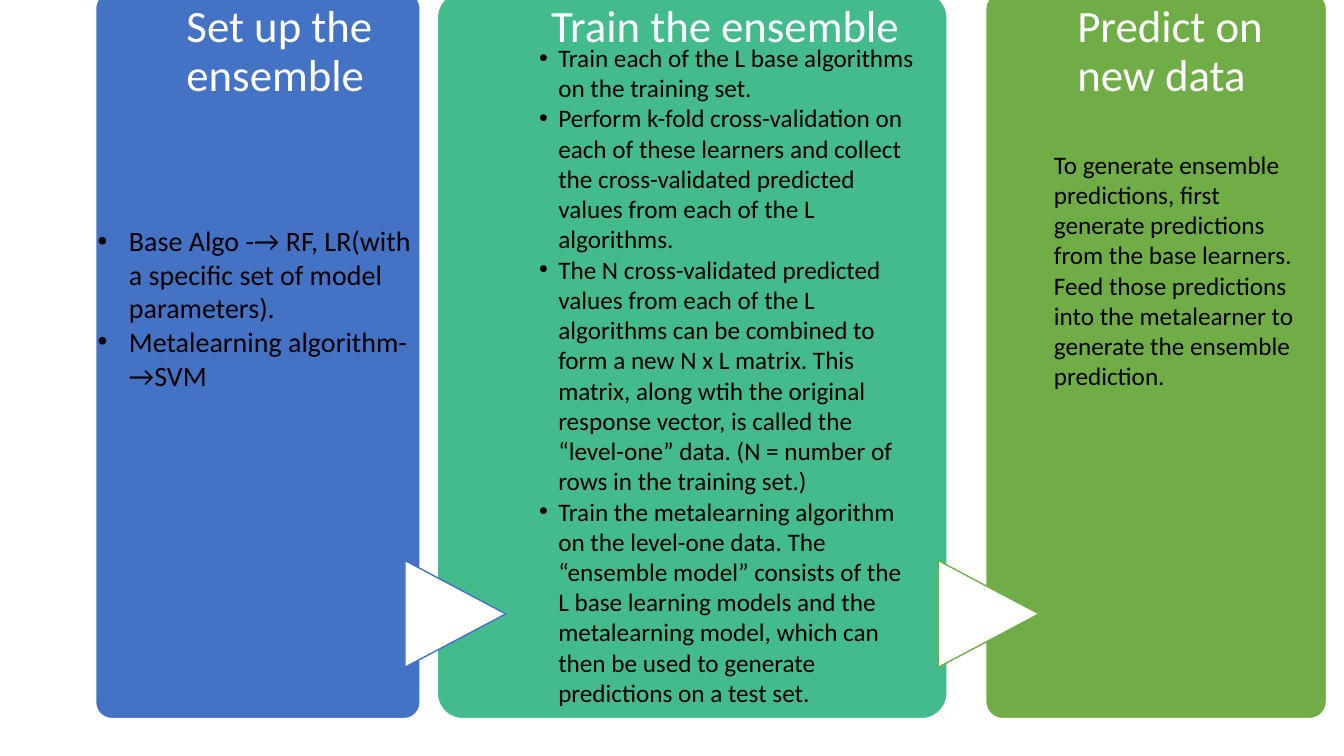
from lxml.etree import SubElement
from pptx import Presentation
from pptx.dml.color import RGBColor
from pptx.enum.shapes import MSO_SHAPE
from pptx.enum.text import MSO_AUTO_SIZE
from pptx.oxml.ns import qn
from pptx.util import Cm, Pt

FONT = "Calibri"
WHITE, BLACK = "FFFFFF", "000000"
PANEL_TOP, PANEL_HEIGHT = -0.2, 18.31
ARROW_TOP, ARROW_WIDTH, ARROW_HEIGHT = 14.2, 2.69, 2.54

# Steps: panel left and width, title left and width, colour, title, arrow left
STEPS = [
    (2.41, 8.18, 4.7, 6.1, "4472C4", "Set up the ensemble", None),
    (11.02, 12.85, 13.89, 9.58, "43BB8D", "Train the ensemble", (10.13, "4472C4")),
    (24.84, 8.59, 27.15, 6.4, "70AD47", "Predict on new data", (23.57, "70AD47")),
]

# Details: box, text size, bullet indent, paragraphs
DETAILS = [
    ((2.21, 5.51, 8.71, 5.31), 20, 0.79, [
        "Base Algo -→ RF, LR(with a specific set of model parameters).",
        "Metalearning algorithm-→SVM",
    ]),
    ((13.34, 0.94, 10.01, 17.2), 18, 0.48, [
        "Train each of the L base algorithms on the training set.",
        "Perform k-fold cross-validation on each of these learners and collect "
        "the cross-validated predicted values from each of the L algorithms.",
        "The N cross-validated predicted values from each of the L algorithms "
        "can be combined to form a new N x L matrix. This matrix, along wtih the "
        "original response vector, is called the “level-one” data. "
        "(N = number of rows in the training set.)",
        "Train the metalearning algorithm on the level-one data. The “ensemble "
        "model” consists of the L base learning models and the metalearning "
        "model, which can then be used to generate predictions on a test set.",
    ]),
    ((26.31, 3.63, 6.99, 7.19), 18, 0, [
        "To generate ensemble predictions, first generate predictions from the "
        "base learners.",
        "Feed those predictions into the metalearner to generate the ensemble "
        "prediction.",
    ]),
]


def colour(hex_code):
    return RGBColor.from_string(hex_code)


def add_block(slide, preset, box, fill, line):
    block = slide.shapes.add_shape(preset, *map(Cm, box))
    block.shadow.inherit = False
    block.fill.solid()
    block.fill.fore_color.rgb = colour(fill)
    block.line.color.rgb = colour(line)
    block.line.width = Pt(1)
    return block


def add_run(paragraph, text, size, hex_code):
    run = paragraph.add_run()
    run.text = text
    run.font.name = FONT
    run.font.size = Pt(size)
    run.font.color.rgb = colour(hex_code)


def add_bullet(paragraph, indent):
    properties = paragraph._p.get_or_add_pPr()
    properties.set("marL", str(Cm(indent)))
    properties.set("indent", str(-Cm(indent)))
    SubElement(properties, qn("a:buFont")).set("typeface", "Arial")
    SubElement(properties, qn("a:buChar")).set("char", "•")


def add_title(slide, left, width, text):
    box = (left, PANEL_TOP, width, PANEL_HEIGHT)
    frame = slide.shapes.add_textbox(*map(Cm, box)).text_frame
    frame.word_wrap = True
    frame.margin_left = frame.margin_right = frame.margin_bottom = 0
    frame.margin_top = Cm(0.3)
    frame.paragraphs[0].line_spacing = 0.9
    add_run(frame.paragraphs[0], text, 32, WHITE)


def add_details(slide, box, size, indent, texts):
    frame = slide.shapes.add_textbox(*map(Cm, box)).text_frame
    frame.word_wrap = True
    frame.auto_size = MSO_AUTO_SIZE.SHAPE_TO_FIT_TEXT
    for index, text in enumerate(texts):
        paragraph = frame.add_paragraph() if index else frame.paragraphs[0]
        if indent:
            add_bullet(paragraph, indent)
        add_run(paragraph, text, size, BLACK)


def add_step(slide, left, width, title_left, title_width, fill, title, arrow):
    panel_box = (left, PANEL_TOP, width, PANEL_HEIGHT)
    panel = add_block(slide, MSO_SHAPE.ROUNDED_RECTANGLE, panel_box, fill, WHITE)
    panel.adjustments[0] = 0.05
    # Arrow from the step before
    if arrow:
        arrow_left, outline = arrow
        arrow_box = (arrow_left, ARROW_TOP, ARROW_WIDTH, ARROW_HEIGHT)
        triangle = add_block(slide, MSO_SHAPE.FLOWCHART_EXTRACT, arrow_box,
                             WHITE, outline)
        triangle.rotation = 90
    add_title(slide, title_left, title_width, title)


def main():
    deck = Presentation()
    deck.slide_width, deck.slide_height = Cm(33.87), Cm(19.05)
    slide = deck.slides.add_slide(deck.slide_layouts[6])

    # Coloured panels with titles and arrows
    for step in STEPS:
        add_step(slide, *step)

    # Explanations on top of the panels
    for details in DETAILS:
        add_details(slide, *details)

    deck.save("out.pptx")


if __name__ == "__main__":
    main()
